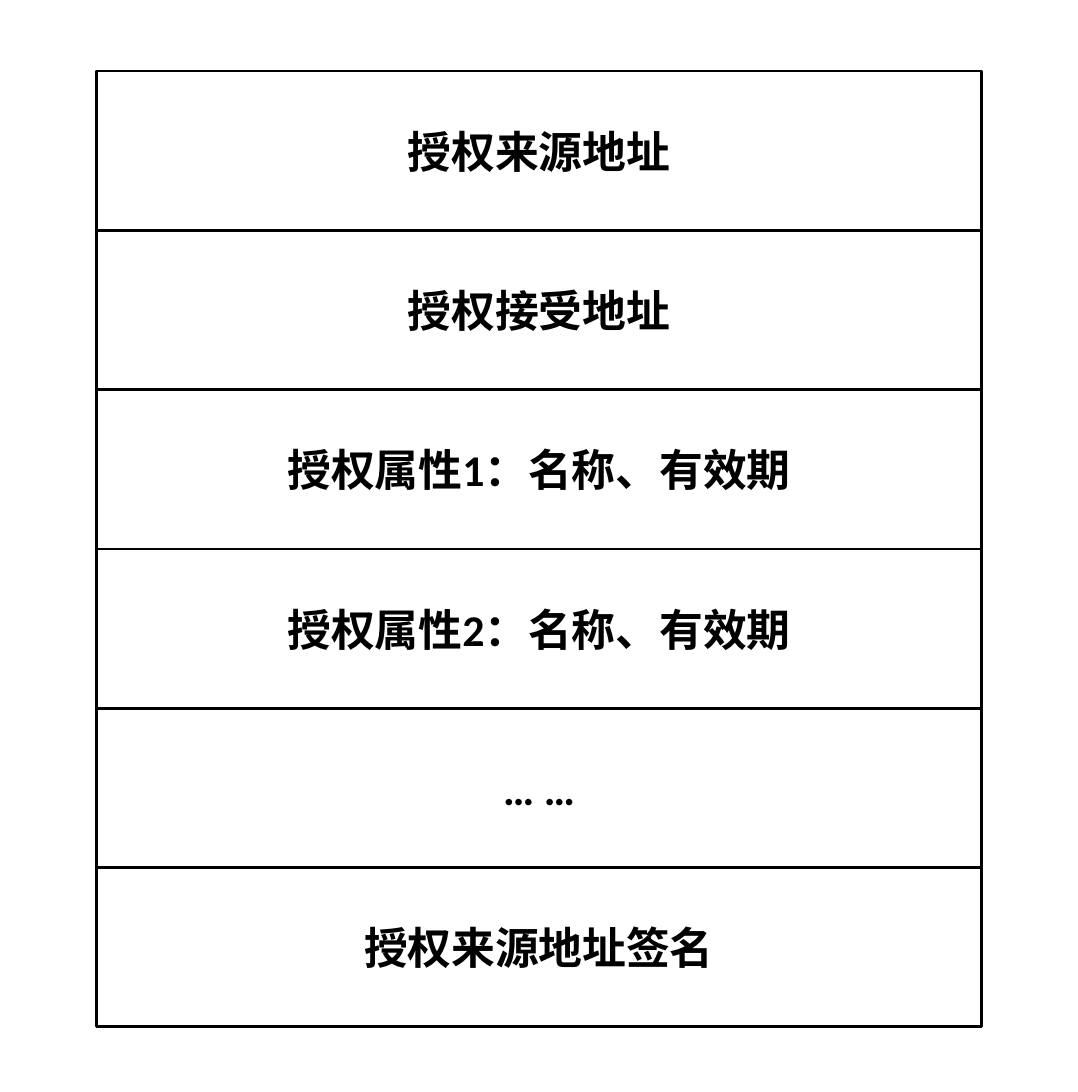
"""Build a slide showing the stacked fields of an authorization record."""
from pptx import Presentation
from pptx.dml.color import RGBColor
from pptx.enum.shapes import MSO_SHAPE
from pptx.enum.text import MSO_ANCHOR, PP_ALIGN
from pptx.util import Inches, Pt

BLACK = RGBColor(0x00, 0x00, 0x00)
WHITE = RGBColor(0xFF, 0xFF, 0xFF)

FIELDS = [
    "授权来源地址",
    "授权接受地址",
    "授权属性1：名称、有效期",
    "授权属性2：名称、有效期",
    "… …",
    "授权来源地址签名",
]
RECORD_LEFT, RECORD_TOP = 0.49, 0.36
RECORD_WIDTH, RECORD_HEIGHT = 4.48, 4.84
FIELD_HEIGHT = RECORD_HEIGHT / len(FIELDS)

prs = Presentation()
prs.slide_width = Inches(5.46)
prs.slide_height = Inches(5.53)
slide = prs.slides.add_slide(prs.slide_layouts[6])

for row, label in enumerate(FIELDS):
    field = slide.shapes.add_shape(
        MSO_SHAPE.RECTANGLE,
        Inches(RECORD_LEFT),
        Inches(RECORD_TOP + row * FIELD_HEIGHT),
        Inches(RECORD_WIDTH),
        Inches(FIELD_HEIGHT),
    )
    field.shadow.inherit = False
    field.fill.solid()
    field.fill.fore_color.rgb = WHITE
    field.line.color.rgb = BLACK
    field.line.width = Pt(1)
    field.text_frame.vertical_anchor = MSO_ANCHOR.MIDDLE
    paragraph = field.text_frame.paragraphs[0]
    paragraph.text = label
    paragraph.alignment = PP_ALIGN.CENTER
    paragraph.font.name = "Calibri"
    paragraph.font.size = Pt(16)
    paragraph.font.bold = True
    paragraph.font.color.rgb = BLACK

prs.save("out.pptx")
